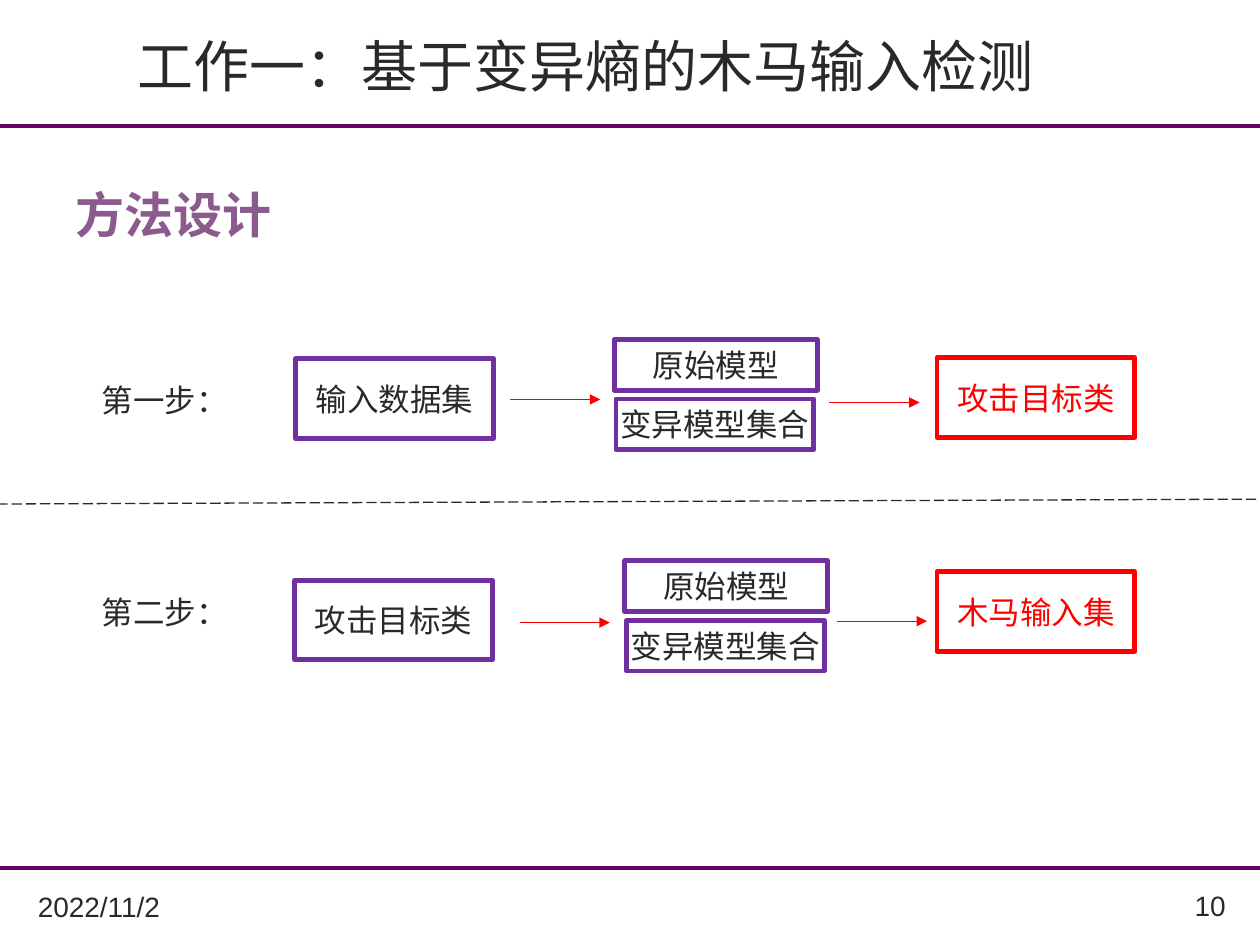
from lxml import etree
from pptx import Presentation
from pptx import util as u
from pptx.dml.color import RGBColor
from pptx.enum import dml, shapes, text
from pptx.oxml.ns import qn

INK = RGBColor(0x29, 0x29, 0x29)
PLUM = RGBColor(0x66, 0x00, 0x66)
MAUVE = RGBColor(0x8B, 0x5B, 0x8D)
VIOLET = RGBColor(0x70, 0x30, 0xA0)
RED = RGBColor(0xFF, 0x00, 0x00)
CJK = "Noto Sans CJK SC"
ARROW_LENGTH = 51.5


def points(*values):
    """Turn numbers into lengths in points."""
    return [u.Pt(value) for value in values]


def set_all(target, formats):
    """Set every attribute named in a dict of format values."""
    for name, value in formats.items():
        setattr(target, name, value)


def write(shape, spans, size, color, align=text.PP_ALIGN.LEFT, bold=False, **frame_formats):
    """Write one paragraph of (words, font) spans, centred vertically in a shape."""
    frame = shape.text_frame
    set_all(frame, {"word_wrap": True, "vertical_anchor": text.MSO_ANCHOR.MIDDLE, **frame_formats})
    para = frame.paragraphs[0]
    para.alignment = align
    for words, font in spans:
        span = para.add_run()
        span.text = words
        set_all(span.font, {"name": font, "size": u.Pt(size), "bold": bold})
        span.font.color.rgb = color
        east = etree.SubElement(span.font._element, qn("a:ea"))
        east.set("typeface", CJK)
    return para


def add_label(page, place, spans, size, color=INK, **formats):
    """Add a text box and return its paragraph."""
    box = page.shapes.add_textbox(*points(*place))
    return write(box, spans, size, color, **formats)


def add_rule(page, top, height):
    """Add a thin bar across the page."""
    rule = page.shapes.add_shape(shapes.MSO_SHAPE.MATH_MINUS, *points(-131, top, 982, height))
    rule.shadow.inherit = False
    rule.fill.solid()
    rule.fill.fore_color.rgb = PLUM
    rule.line.fill.background()


def add_box(page, place, words, line_color=VIOLET, color=INK):
    """Add an outlined box with centred words."""
    box = page.shapes.add_shape(shapes.MSO_SHAPE.RECTANGLE, *points(*place))
    box.shadow.inherit = False
    box.fill.background()
    box.line.color.rgb = line_color
    box.line.width = u.Pt(2.75)
    write(box, [(words, "Times New Roman")], 18, color, text.PP_ALIGN.CENTER, word_wrap=False)


def add_line(page, ends, color):
    """Add a thin straight line and return it."""
    line = page.shapes.add_connector(shapes.MSO_CONNECTOR.STRAIGHT, *points(*ends))
    line.line.color.rgb = color
    line.line.width = u.Pt(0.75)
    etree.SubElement(line._element.spPr, qn("a:effectLst"))
    return line


def add_arrow(page, left, y):
    """Add a red arrow pointing right."""
    arrow = add_line(page, (left, y, left + ARROW_LENGTH, y), RED)
    head = etree.SubElement(arrow.line._get_or_add_ln(), qn("a:tailEnd"))
    head.set("type", "triangle")


def add_step(page, label, source, models, result, arrows):
    """Add one row: label, source box, pair of models, result box and arrows."""
    words, label_top = label
    add_label(page, (51, label_top, 95, 29), [(words, "Arial")], 18)
    words, left, top = source
    add_box(page, (left, top, 113, 45.5), words)
    left, top = models
    add_box(page, (left, top, 116, 29), "原始模型")
    add_box(page, (left + 1, top + 34, 113, 29), "变异模型集合")
    words, top = result
    add_box(page, (535.5, top, 113, 45.5), words, RED, RED)
    for left, y in arrows:
        add_arrow(page, left, y)


def main():
    """Build the slide and save it."""
    deck = Presentation()
    set_all(deck, {"slide_width": u.Pt(720), "slide_height": u.Pt(540)})
    page = deck.slides.add_slide(deck.slide_layouts[6])

    add_rule(page, 492, 8)
    add_rule(page, 67.75, 8.6)
    add_label(page, (14.5, 504, 112, 28), [("2022/11/2", "Arial")], 16)
    add_label(page, (634, 505, 73.5, 24.5), [("10", "Arial")], 16, align=text.PP_ALIGN.RIGHT)
    add_label(page, (65.5, 15, 556, 44), [("工作一：", CJK), ("基于变异熵的木马输入检测", "Roboto")],
              32, margin_left=u.Pt(13))
    heading = add_label(page, (36, 83, 649, 55), [("方法设计", CJK)], 28, MAUVE, bold=True)
    heading.line_spacing = 1.7

    add_step(page, ("第一步：", 214), ("输入数据集", 169, 205), (351, 194),
             ("攻击目标类", 204.5), [(291.5, 228.25), (474, 230)])
    add_step(page, ("第二步：", 335), ("攻击目标类", 168.5, 331.5), (357, 320.5),
             ("木马输入集", 326.75), [(297, 355.75), (478.25, 355)])
    divider = add_line(page, (-1.5, 288, 718.5, 285.25), INK)
    divider.line.dash_style = dml.MSO_LINE.LONG_DASH
    deck.save("out.pptx")


if __name__ == "__main__":
    main()
